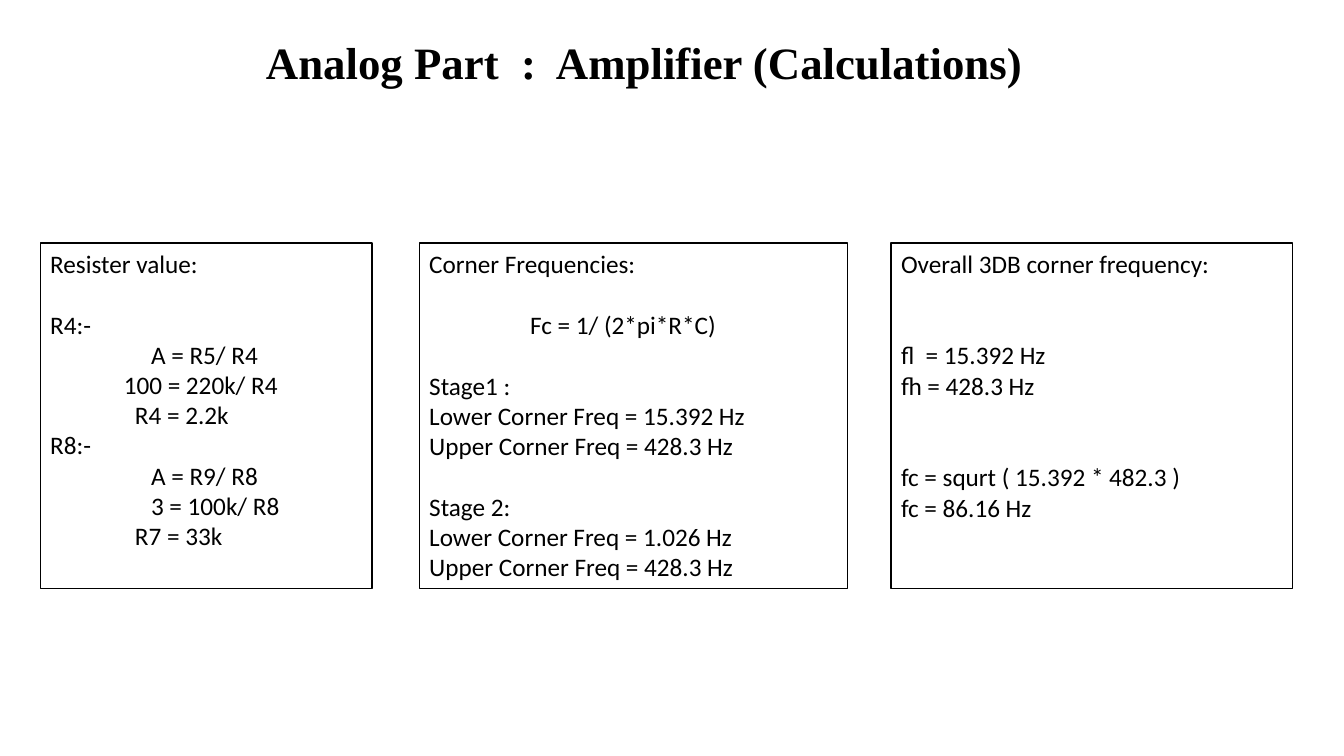
from pptx import Presentation
from pptx.dml.color import RGBColor
from pptx.enum.text import MSO_ANCHOR, PP_ALIGN
from pptx.util import Inches, Pt

BLACK = RGBColor(0, 0, 0)
WHITE = RGBColor(255, 255, 255)
LINE_PITCH = 21.97  # points from one line of 18 pt Calibri to the next
WIDE, MIDDLE, NARROW = 1, 0.84, 0.73  # equation indents, inches

deck = Presentation()
deck.slide_width, deck.slide_height = Inches(13.33), Inches(7.5)
slide = deck.slides.add_slide(deck.slide_layouts[6])
col = deck.slide_width / 100
row = deck.slide_height / 100


def add_text_area(left, top, width, height):
    """Add a wrapping text box placed in percent of the slide."""
    area = slide.shapes.add_textbox(
        round(left * col), round(top * row), round(width * col), round(height * row)
    )
    area.text_frame.word_wrap = True
    area.text_frame.vertical_anchor = MSO_ANCHOR.TOP
    return area


def add_line(paragraph, wording, font_name, size, bold=False):
    paragraph.alignment = PP_ALIGN.LEFT
    run = paragraph.add_run()
    run.text = wording
    run.font.name = font_name
    run.font.size = Pt(size)
    run.font.bold = bold
    run.font.color.rgb = BLACK


heading = add_text_area(19.05, 3.87, 61.95, 8.53)
add_line(heading.text_frame.paragraphs[0], "Analog Part  :  Amplifier (Calculations)",
         "Times New Roman", 32, bold=True)

# Each line: wording, indent in inches, empty lines above it
resistors = [
    ("Resister value:", 0, 0),
    ("R4:-", 0, 1),
    ("A = R5/ R4", WIDE, 0),
    ("100 = 220k/ R4", NARROW, 0),
    ("R4 = 2.2k", MIDDLE, 0),
    ("R8:-", 0, 0),
    ("A = R9/ R8", WIDE, 0),
    ("3 = 100k/ R8", WIDE, 0),
    ("R7 = 33k", MIDDLE, 0),
]
corners = [
    ("Corner Frequencies:", 0, 0),
    ("Fc = 1/ (2*pi*R*C)", WIDE, 1),
    ("Stage1 :", 0, 1),
    ("Lower Corner Freq = 15.392 Hz", 0, 0),
    ("Upper Corner Freq = 428.3 Hz", 0, 0),
    ("Stage 2:", 0, 1),
    ("Lower Corner Freq = 1.026 Hz", 0, 0),
    ("Upper Corner Freq = 428.3 Hz", 0, 0),
]
overall = [
    ("Overall 3DB corner frequency:", 0, 0),
    ("fl  = 15.392 Hz", 0, 2),
    ("fh = 428.3 Hz", 0, 0),
    ("fc = squrt ( 15.392 * 482.3 )", 0, 2),
    ("fc = 86.16 Hz", 0, 0),
]

for left, width, calculation in [
    (3, 24.68, resistors),
    (31.2, 31.88, corners),
    (66.3, 29.85, overall),
]:
    panel = add_text_area(left, 32.13, width, 45.73)
    panel.fill.solid()
    panel.fill.fore_color.rgb = WHITE
    panel.line.color.rgb = BLACK
    panel.line.width = Pt(1)
    for number, (wording, indent, gap) in enumerate(calculation):
        frame = panel.text_frame
        paragraph = frame.add_paragraph() if number else frame.paragraphs[0]
        paragraph.space_before = Pt(gap * LINE_PITCH)
        paragraph._p.get_or_add_pPr().set("marL", str(Inches(indent)))
        add_line(paragraph, wording, "Calibri", 18)

deck.save("out.pptx")
